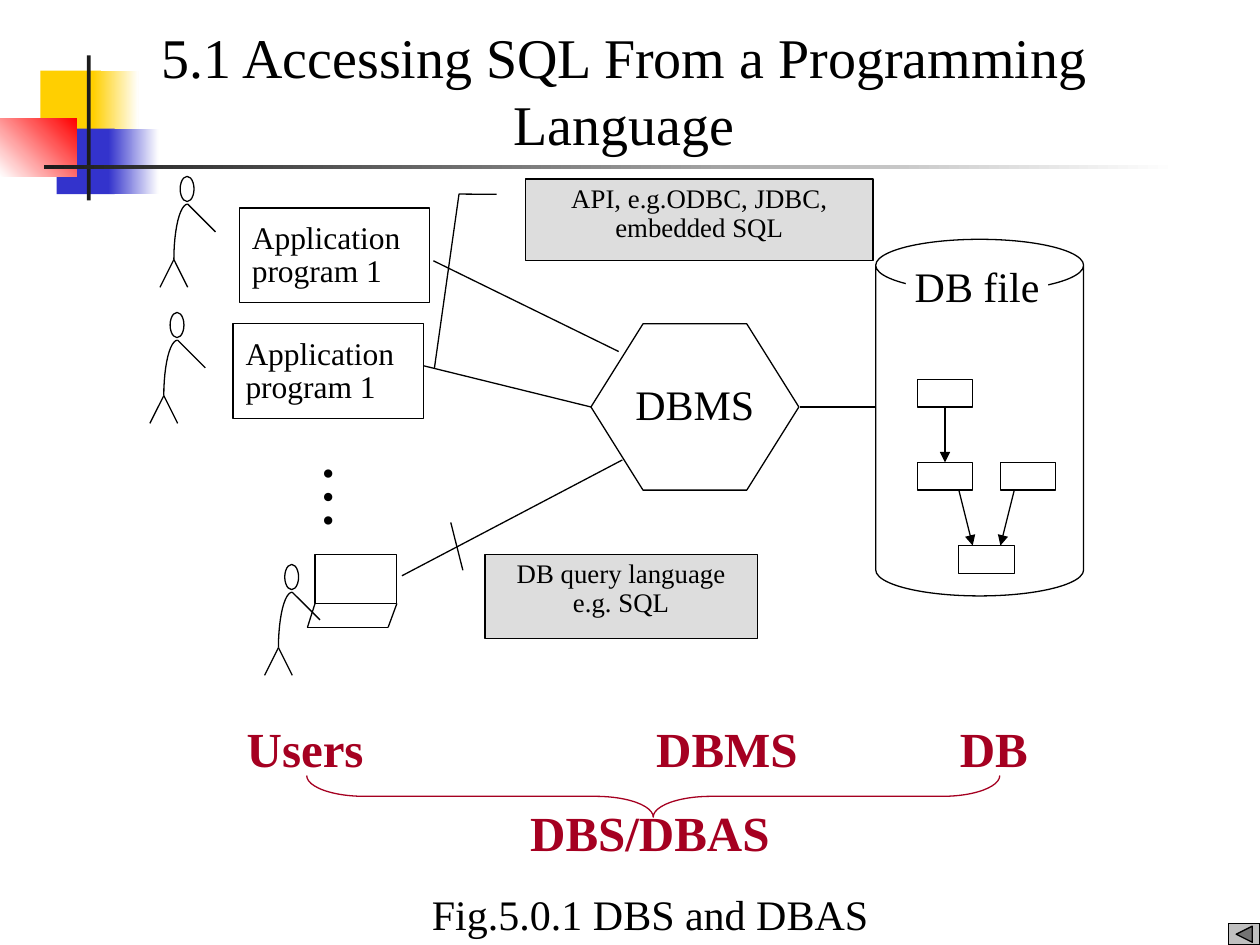
from lxml.etree import SubElement
from pptx import Presentation
from pptx.dml.color import RGBColor
from pptx.enum.shapes import MSO_CONNECTOR, MSO_SHAPE as Preset
from pptx.enum.text import MSO_ANCHOR as Anchor, PP_ALIGN as Align
from pptx.oxml.ns import qn
from pptx.util import Inches, Pt

COLORS = {
    "black": "000000", "white": "FFFFFF", "grey": "DDDDDD", "button": "C0C0C0",
    "crimson": "A50021", "yellow": "FFCF01", "blue": "3333CC", "red": "FF0000",
    "bar": "1C1C1C",
}
FONT = "Times New Roman"
THIN = Pt(0.75)


def rgb(name):
    return RGBColor.from_string(COLORS[name])


def write(shape, text, size, color="black", bold=False, align=Align.LEFT,
          spacing=1.0, insets=(0.1, 0.05, 0.1, 0.05), wrap=True,
          anchor=Anchor.TOP):
    frame = shape.text_frame
    left, top, right, bottom = (Inches(inset) for inset in insets)
    frame_format = {
        "word_wrap": wrap, "vertical_anchor": anchor, "margin_left": left,
        "margin_top": top, "margin_right": right, "margin_bottom": bottom,
    }
    for name, value in frame_format.items():
        setattr(frame, name, value)
    frame.text = text
    font_format = {"name": FONT, "size": Pt(size), "bold": bold}
    for paragraph in frame.paragraphs:
        paragraph.alignment = align
        paragraph.line_spacing = spacing
        paragraph.space_before = Pt(0)
        for name, value in font_format.items():
            setattr(paragraph.font, name, value)
        paragraph.font.color.rgb = rgb(color)


def add_block(shapes, preset, box, fill="white", line="black", adjust=()):
    block = shapes.add_shape(preset, *(Inches(length) for length in box))
    block.shadow.inherit = False
    for index, value in enumerate(adjust):
        block.adjustments[index] = value
    if fill:
        block.fill.solid()
        block.fill.fore_color.rgb = rgb(fill)
    else:
        block.fill.background()
    if line:
        block.line.color.rgb = rgb(line)
        block.line.width = THIN
    else:
        block.line.fill.background()
    return block


def add_fade(shapes, box, start, end, angle=0):
    fade = add_block(shapes, Preset.RECTANGLE, box, line=None)
    fade.fill.gradient()
    fade.fill.gradient_angle = angle
    for stop, color, position in zip(fade.fill.gradient_stops, (start, end), (0, 1)):
        stop.color.rgb = rgb(color)
        stop.position = position


def add_line(shapes, start, end, arrow=False):
    line = shapes.add_connector(
        MSO_CONNECTOR.STRAIGHT, *(Inches(length) for length in (*start, *end)))
    line.line.color.rgb = rgb("black")
    line.line.width = THIN
    if arrow:
        SubElement(line.line._get_or_add_ln(), qn("a:tailEnd"), type="triangle")
    SubElement(line._element.spPr, qn("a:effectLst"))
    return line


def add_label(shapes, box, text, size, **text_format):
    label = shapes.add_textbox(*(Inches(length) for length in box))
    write(label, text, size, **text_format)
    return label


def add_user(shapes, left, top):
    """Stick figure: head, curved back, two legs and an arm."""
    hip, shoulder = (left + 0.11, top + 0.66), (left + 0.22, top + 0.22)
    add_block(shapes, Preset.FLOWCHART_CONNECTOR, (left + 0.16, top, 0.11, 0.2))
    steps = 12
    back = []
    for step in range(steps + 1):
        t = step / steps
        reach = 3 * t**2 * (1 - t) + t**3
        bend = 3 * t * (1 - t)**2 * 0.55 + reach
        drop = 3 * t**2 * (1 - t) * 0.45 + t**3
        back.append((Inches(shoulder[0] - 0.11 * bend),
                     Inches(shoulder[1] + 0.44 * drop)))
    builder = shapes.build_freeform(*back[0])
    builder.add_line_segments(back[1:], close=False)
    curve = builder.convert_to_shape()
    curve.shadow.inherit = False
    curve.fill.background()
    curve.line.color.rgb = rgb("black")
    curve.line.width = THIN
    for foot in (left, left + 0.22):
        add_line(shapes, hip, (foot, top + 0.88))
    add_line(shapes, shoulder, (left + 0.44, top + 0.44))


def add_computer(shapes):
    add_block(shapes, Preset.RECTANGLE, (2.5, 4.4, 0.65, 0.39))
    front_left, front_right = (2.44, 4.98), (3.08, 4.98)
    add_line(shapes, (2.5, 4.79), front_left)
    add_line(shapes, (3.15, 4.79), front_right)
    add_line(shapes, front_left, front_right)


def add_database(shapes):
    add_block(shapes, Preset.CAN, (6.95, 1.9, 1.65, 2.83), adjust=[0.25])
    root, left_child, _, _ = [
        add_block(shapes, Preset.RECTANGLE, (left, top, 0.44, 0.22))
        for left, top in ((7.28, 3.01), (7.28, 3.67), (7.94, 3.67), (7.61, 4.33))]
    link = add_line(shapes, (7.5, 3.23), (7.5, 3.67), arrow=True)
    link.begin_connect(root, 2)
    link.end_connect(left_child, 0)
    add_line(shapes, (7.61, 3.89), (7.72, 4.33), arrow=True)
    add_line(shapes, (8.05, 3.89), (7.94, 4.33), arrow=True)
    db_file = add_block(shapes, Preset.RECTANGLE, (7.19, 2.07, 1.13, 0.44), line=None)
    write(db_file, "DB file", 24, align=Align.CENTER, insets=(0, 0, 0, 0))


def add_decoration(shapes):
    add_block(shapes, Preset.RECTANGLE, (0.32, 0.56, 0.48, 0.52), "yellow", None)
    add_fade(shapes, (0.74, 0.56, 0.36, 0.52), "yellow", "white")
    add_block(shapes, Preset.RECTANGLE, (0.45, 1.02, 0.46, 0.52), "blue", None)
    add_fade(shapes, (0.86, 1.02, 0.4, 0.52), "blue", "white")
    add_fade(shapes, (0, 0.94, 0.61, 0.46), "white", "red", 45)
    add_block(shapes, Preset.RECTANGLE, (0.69, 0.44, 0.03, 1.15), "bar", None)
    add_fade(shapes, (0.35, 1.31, 9, 0.03), "bar", "white")


def main():
    deck = Presentation()
    deck.slide_width, deck.slide_height = Inches(10), Inches(7.5)
    slide = deck.slides.add_slide(deck.slide_layouts[5])
    shapes = slide.shapes

    # Title and corner decoration
    add_decoration(shapes)
    title = shapes.title
    title.left, title.top, title.width, title.height = (
        Inches(length) for length in (0.35, 0.13, 9.21, 1.17))
    write(title, "5.1 Accessing SQL From a Programming Language", 32,
          align=Align.CENTER)

    # DBMS, database and the lines that reach them
    dbms = add_block(shapes, Preset.HEXAGON, (4.69, 2.57, 1.65, 1.32), adjust=[0.313])
    write(dbms, "DBMS", 24, align=Align.CENTER, insets=(0, 0.21, 0, 0.05))
    add_database(shapes)
    for start, end in (((6.35, 3.23), (6.95, 3.23)), ((3.44, 2.07), (4.91, 2.79)),
                       ((3.35, 2.9), (4.69, 3.23)), ((3.19, 4.57), (4.94, 3.65))):
        add_line(shapes, start, end)

    # Users and their programs
    add_computer(shapes)
    for left, top in ((1.27, 1.4), (1.19, 2.48), (2.1, 4.48)):
        add_user(shapes, left, top)
    for left, top in ((1.9, 1.65), (1.85, 2.57)):
        program = add_block(shapes, Preset.RECTANGLE, (left, top, 1.51, 0.75))
        write(program, "Application program 1", 18, align=Align.JUSTIFY,
              spacing=0.85, insets=(0.1, 0.13, 0.1, 0.05))
    more = add_label(shapes, (2.33, 3.49, 0.86, 0.92), "…", 40,
                     insets=(0.05, 0.18, 0.05, 0.1))
    more.text_frame._txBody.bodyPr.set("vert", "eaVert")

    # Callouts
    for box, pointer, text in (
            ((3.85, 4.4, 2.16, 0.67), (0.188, -0.083, 0.185, -0.082, -0.378, -0.126),
             "DB query language\ne.g. SQL"),
            ((4.17, 1.42, 2.76, 0.65), (0.188, -0.083, 0.185, -0.191, 2.32, -0.262),
             "API, e.g.ODBC, JDBC, embedded SQL")):
        callout = add_block(shapes, Preset.LINE_CALLOUT_2, box, "grey", adjust=pointer)
        write(callout, text, 15.3, align=Align.CENTER, spacing=0.9)

    # Layer names, brace and caption
    for left, top, width, name in ((1.86, 5.65, 1.13, "Users"), (5.11, 5.65, 1.32, "DBMS"),
                                   (7.52, 5.65, 0.74, "DB"), (4.11, 6.32, 2.1, "DBS/DBAS")):
        add_label(shapes, (left, top, width, 0.57), name, 28, color="crimson",
                  bold=True, wrap=False)
    brace = add_block(shapes, Preset.LEFT_BRACE, (5.02, 3.57, 0.33, 5.5), None,
                      "crimson", adjust=[1.39, 0.5])
    brace.rotation = 270
    add_label(shapes, (3.33, 7, 3.8, 0.5), "Fig.5.0.1 DBS and DBAS", 24)

    # Back button
    add_block(shapes, Preset.ACTION_BUTTON_BACK_OR_PREVIOUS, (9.75, 7.33, 0.25, 0.17),
              "button")

    deck.save("out.pptx")


if __name__ == "__main__":
    main()
